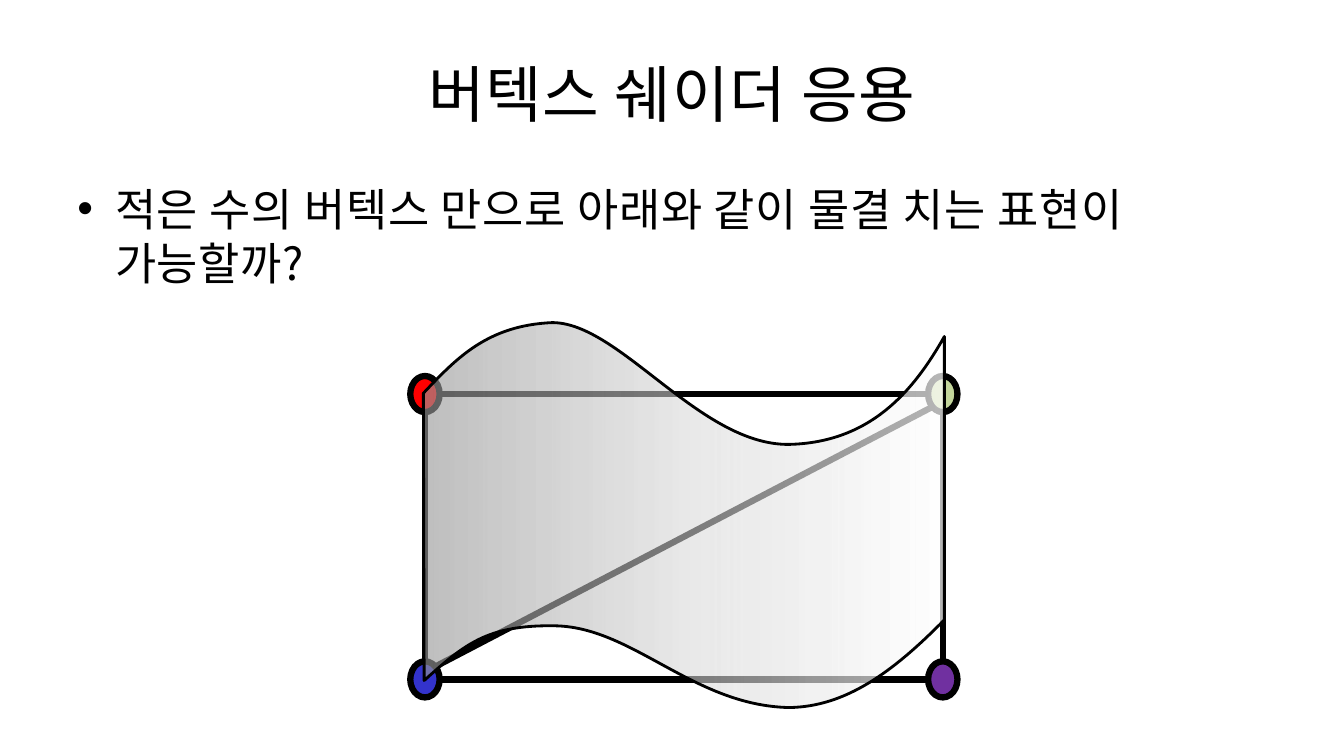
import pptx
import pptx.util
import pptx.dml.color
import pptx.enum.shapes
import pptx.enum.text
import pptx.oxml
import pptx.oxml.ns
import lxml.etree

Cm, Pt = pptx.util.Cm, pptx.util.Pt
SHAPE = pptx.enum.shapes.MSO_SHAPE
ALIGN = pptx.enum.text.PP_ALIGN
ANCHOR = pptx.enum.text.MSO_ANCHOR
qn = pptx.oxml.ns.qn

# Content: lengths in cm, sizes in points
FONT = "Noto Sans CJK KR"
LETTER_SPACING = 0.5
COLORS = {"ink": "000000", "red": "FF0000", "blue": "3333CC",
          "green": "C3D69B", "purple": "7030A0",
          "dark": "979797", "mid": "D7D7D7", "light": "FFFFFF"}
TEXTS = [
    {"text": "버텍스 쉐이더 응용", "box": (1.7, 0.76, 30.48, 3.18), "size": 44,
     "anchor": ANCHOR.MIDDLE, "bullet": False, "align": ALIGN.CENTER},
    {"text": "적은 수의 버텍스 만으로 아래와 같이 물결 치는 표현이 가능할까?",
     "box": (1.7, 4.45, 30.48, 12.57), "size": 32,
     "anchor": ANCHOR.TOP, "bullet": True, "align": ALIGN.LEFT},
]
LEFT, RIGHT, TOP, BOTTOM = 10.71, 23.76, 9.93, 17.12
VERTEX_W, VERTEX_H = 0.74, 0.91
VERTICES = [("red", LEFT, TOP), ("blue", LEFT, BOTTOM),
            ("green", RIGHT, TOP), ("purple", RIGHT, BOTTOM)]
# Each curve: two control points and an end; a lone point is a straight side
WAVE_START = (10.67, 9.91)
WAVE = [
    [(11.51, 9.02), (12.29, 8.2), (13.92, 8.13)],
    [(15.62, 8.13), (17.65, 11.23), (19.89, 11.2)],
    [(21.92, 11.15), (23.01, 9.88), (23.8, 8.48)],
    [(23.8, 15.62)],
    [(22.5, 16.94), (21.31, 17.81), (19.89, 17.83)],
    [(17.45, 17.78), (15.93, 15.77), (13.94, 15.77)],
    [(12.29, 15.75), (11.71, 16.23), (10.69, 17.15)],
]
WAVE_STOPS = [(0, "dark", 62), (50, "mid", 56), (100, "light", 71)]


def rgb(name):
    return pptx.dml.color.RGBColor.from_string(COLORS[name])


def outline(sp, width):
    sp.line.color.rgb = rgb("ink")
    sp.line.width = Pt(width)


def add_text(slide, item):
    tf = slide.shapes.add_textbox(*map(Cm, item["box"])).text_frame
    tf.word_wrap = True
    tf.vertical_anchor = item["anchor"]
    p = tf.paragraphs[0]
    p.alignment = item["align"]
    if item["bullet"]:
        pPr = p._p.get_or_add_pPr()
        pPr.set("marL", str(Cm(0.95)))
        pPr.set("indent", str(-Cm(0.95)))
        lxml.etree.SubElement(pPr, qn("a:buFont")).set("typeface", "Arial")
        lxml.etree.SubElement(pPr, qn("a:buChar")).set("char", "•")
    r = p.add_run()
    r.text = item["text"]
    for name, value in {"name": FONT, "size": Pt(item["size"])}.items():
        setattr(r.font, name, value)
    r.font.color.rgb = rgb("ink")
    rPr = r._r.get_or_add_rPr()
    rPr.set("spc", str(int(LETTER_SPACING * 100)))
    lxml.etree.SubElement(rPr, qn("a:ea")).set("typeface", FONT)


def add_edge(group, x1, y1, x2, y2):
    line = group.shapes.add_connector(
        pptx.enum.shapes.MSO_CONNECTOR.STRAIGHT, *map(Cm, (x1, y1, x2, y2)))
    outline(line, 4.5)
    lxml.etree.SubElement(line._element.spPr, qn("a:effectLst"))


def add_wave(slide):
    fb = slide.shapes.build_freeform(*map(Cm, WAVE_START))
    fb.add_line_segments([tuple(map(Cm, pt)) for part in WAVE for pt in part],
                         close=True)
    sp = fb.convert_to_shape()
    sp.shadow.inherit = False
    outline(sp, 2)

    # Join each run of three segments into one curve
    segments = iter(list(sp._element.spPr.iter(qn("a:lnTo"))))
    for part in WAVE:
        group = [next(segments) for _ in part]
        if len(group) == 3:
            curve = lxml.etree.Element(qn("a:cubicBezTo"))
            group[0].addprevious(curve)
            for segment in group:
                curve.append(segment[0])
                segment.getparent().remove(segment)

    # Translucent gradient
    sp.fill.gradient()
    sp.fill.gradient_angle = 0
    stops = sp._element.spPr.find(qn("a:gradFill")).find(qn("a:gsLst"))
    for old in list(stops):
        stops.remove(old)
    for pos, color, alpha in WAVE_STOPS:
        gs = lxml.etree.SubElement(stops, qn("a:gs"), pos=str(pos * 1000))
        clr = lxml.etree.SubElement(gs, qn("a:srgbClr"), val=COLORS[color])
        lxml.etree.SubElement(clr, qn("a:alpha"), val=str(alpha * 1000))


def main():
    prs = pptx.Presentation()
    prs.slide_width, prs.slide_height = Cm(33.87), Cm(19.05)
    slide = prs.slides.add_slide(prs.slide_layouts[6])

    # Title and question
    for item in TEXTS:
        add_text(slide, item)

    # Quad of four vertices
    quad = slide.shapes.add_group_shape()
    rx, ry = VERTEX_W / 2, VERTEX_H / 2
    for color, x, y in VERTICES:
        sp = quad.shapes.add_shape(
            SHAPE.OVAL, *map(Cm, (x - rx, y - ry, VERTEX_W, VERTEX_H)))
        sp.shadow.inherit = False
        sp.fill.solid()
        sp.fill.fore_color.rgb = rgb(color)
        outline(sp, 4.5)

    # Edges run from rim to rim, the diagonal at 45 degrees
    for y in (TOP, BOTTOM):
        add_edge(quad, LEFT + rx, y, RIGHT - rx, y)
    for x in (LEFT, RIGHT):
        add_edge(quad, x, TOP + ry, x, BOTTOM - ry)
    dx, dy = rx * 0.71, ry * 0.71
    add_edge(quad, RIGHT - dx, TOP + dy, LEFT + dx, BOTTOM - dy)

    # Rippling surface
    add_wave(slide)
    prs.save("out.pptx")


if __name__ == "__main__":
    main()
